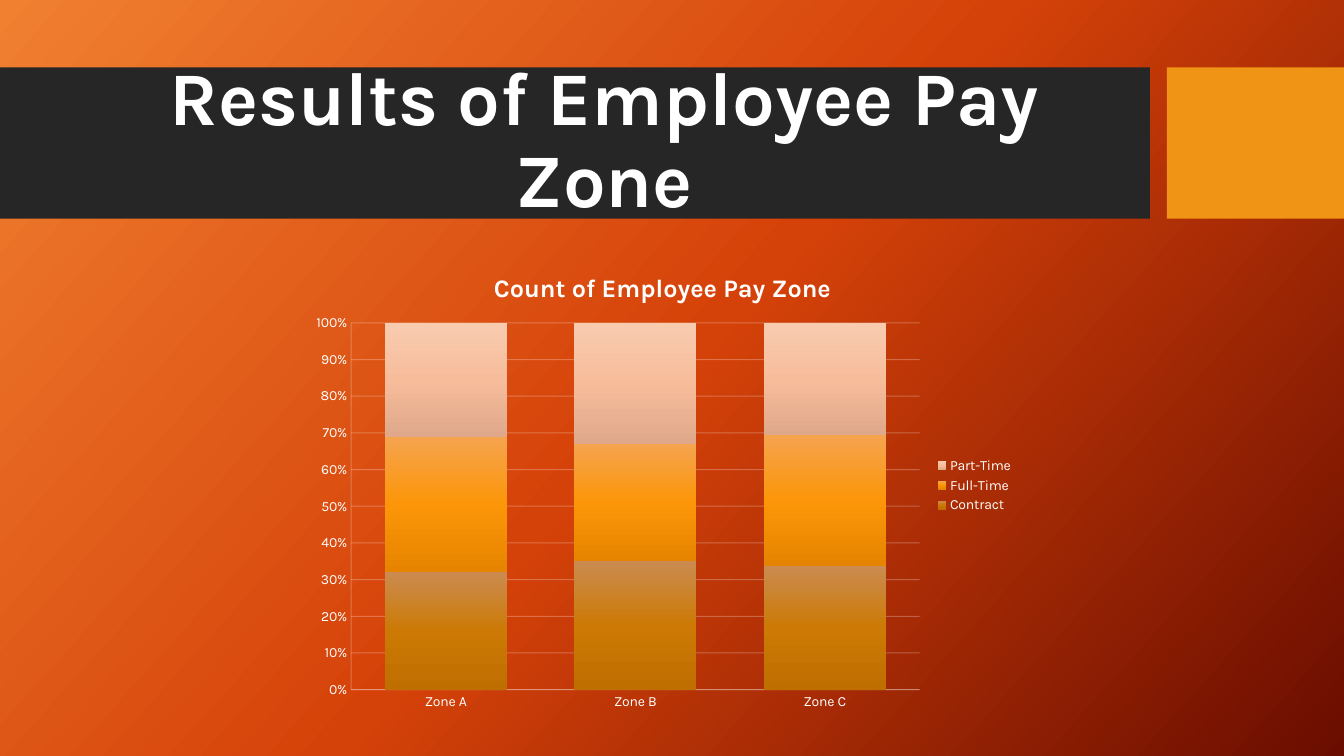
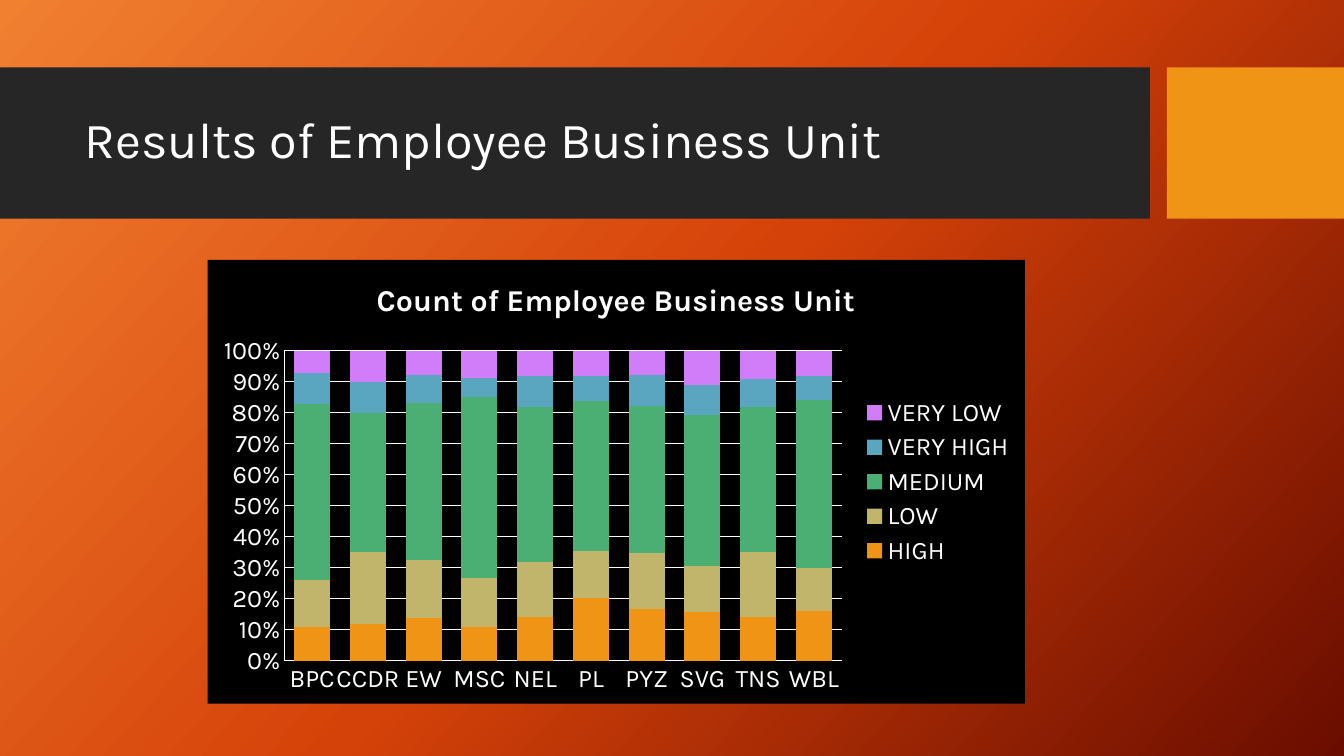
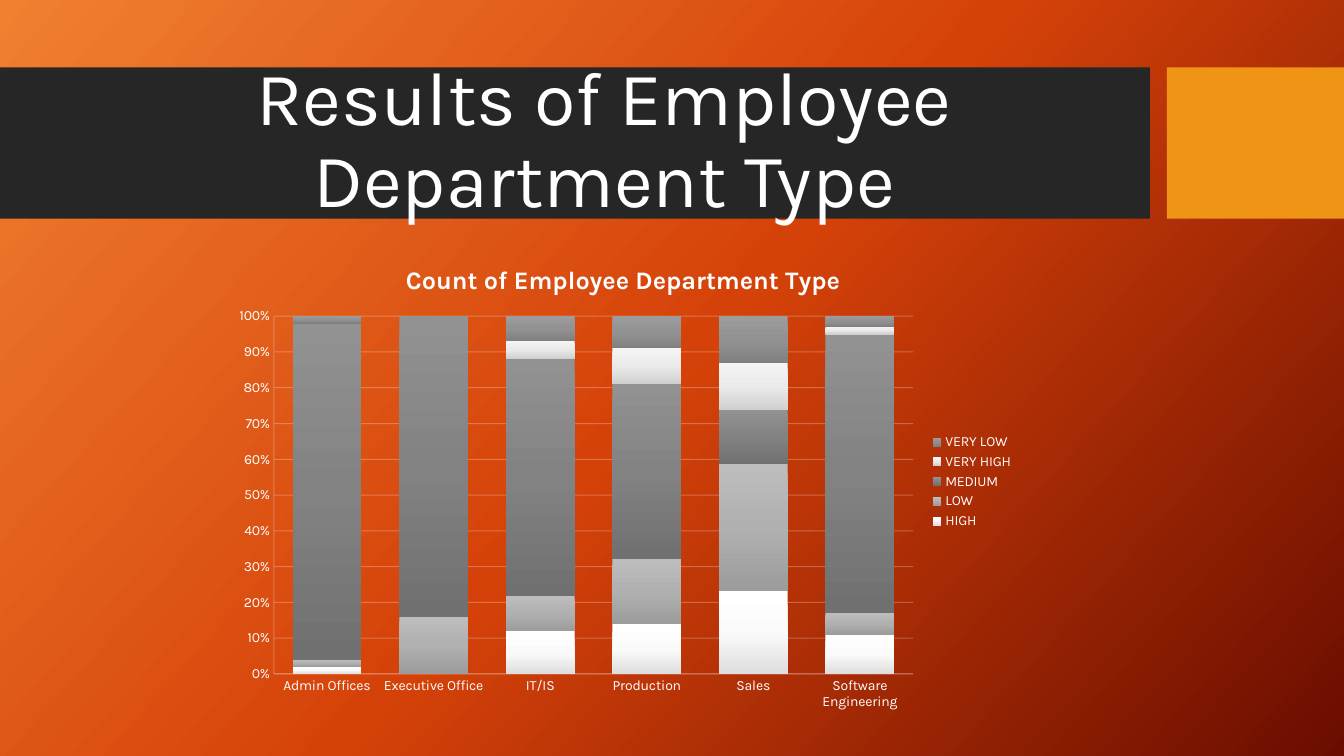
import copy

import pptx
import pptx.chart.data
import pptx.dml.color
import pptx.enum.chart
import pptx.enum.shapes
import pptx.enum.text
import pptx.oxml
import pptx.oxml.ns
import pptx.util

Cm, Pt = pptx.util.Cm, pptx.util.Pt
RGB = pptx.dml.color.RGBColor.from_string
FONT = "Karla"
COLORS = {
    "white": "FFFFFF", "band": "262626", "amber": "F09415", "black": "000000",
    "sand": "C1B56B", "green": "4BAF73", "blue": "5AA6C0", "violet": "D17DF9",
}
BACKGROUND = ["F18031", "D54209", "6A0D00"]
LEVELS = ["HIGH", "LOW", "MEDIUM", "VERY HIGH", "VERY LOW"]
CENTER, LEFT = pptx.enum.text.PP_ALIGN.CENTER, pptx.enum.text.PP_ALIGN.LEFT

# Plot boxes are left, top, width, height in percent of the chart
SLIDES = [
    {
        "title": "Results of Employee Pay Zone",
        "title_font": {"size": Pt(54), "bold": True}, "align": CENTER,
        "chart_title": "Count of Employee Pay Zone", "chart_title_size": 18,
        "box": (7.59, 6.35, 18.21, 11.76), "plot": (6.9, 15.2, 78.7, 78.6),
        "size": 10, "grid_alpha": 25, "panel": None,
        "cats": ["Zone A", "Zone B", "Zone C"],
        "series": {"Contract": [32, 35, 34], "Full-Time": [37, 32, 36],
                   "Part-Time": [31, 33, 31]},
        "fills": [["CB8B50", "CC7A05", "BF6E00"], ["F5A34F", "FC9608", "E68400"],
                  ["F8CBAF", "F7BD9B", "DFA88A"]],
    },
    {
        "title": "Results of Employee Business Unit",
        "title_font": {"size": Pt(36), "bold": False}, "align": LEFT,
        "chart_title": "Count of Employee Business Unit", "chart_title_size": 21.6,
        "box": (5.23, 6.55, 20.6, 11.18), "plot": (9.4, 20.5, 68.2, 69.9),
        "size": 18, "grid_alpha": 100, "panel": "black",
        "cats": ["BPC", "CCDR", "EW", "MSC", "NEL", "PL", "PYZ", "SVG", "TNS", "WBL"],
        "series": dict(zip(LEVELS, [
            [11, 12, 14, 11, 14, 20, 17, 16, 14, 16],
            [15, 23, 19, 16, 18, 15, 18, 15, 21, 14],
            [57, 45, 51, 59, 50, 48, 48, 49, 47, 54],
            [10, 10, 9, 6, 10, 8, 10, 10, 9, 8],
            [7, 10, 8, 9, 8, 8, 8, 11, 9, 8]])),
        "fills": [[COLORS[c]] for c in ("amber", "sand", "green", "blue", "violet")],
    },
    {
        "title": "Results of Employee Department Type",
        "title_font": {"size": Pt(54), "bold": False}, "align": CENTER,
        "chart_title": "Count of Employee Department Type", "chart_title_size": 18,
        "box": (5.61, 6.15, 20.19, 11.96), "plot": (6.4, 15.2, 79.8, 75.4),
        "size": 10, "grid_alpha": 25, "panel": None,
        "cats": ["Admin Offices", "Executive Office", "IT/IS", "Production", "Sales",
                 "Software Engineering"],
        "series": dict(zip(LEVELS, [
            [2, None, 12, 14, 23, 11],
            [2, 16, 10, 18, 35, 6],
            [94, 84, 67, 49, 15, 78],
            [None, None, 5, 10, 13, 2],
            [2, None, 7, 9, 13, 3]])),
        "fills": [["FFFFFF", "FAFAFA", "DEDEDE"], ["BDBDBD", "B0B0B0", "9C9C9C"],
                  ["929292", "828282", "707070"], ["F4F4F4", "EAEAEA", "D0D0D0"],
                  ["9C9C9C", "929292", "808080"]],
    },
]


def paint(fill, colors, angle=270):
    """Solid fill for one colour, gradient with even stops for three."""
    if len(colors) == 1:
        fill.solid()
        fill.fore_color.rgb = RGB(colors[0])
        return
    fill.gradient()
    fill.gradient_angle = angle
    last = fill.gradient_stops[1].element
    last.addnext(copy.deepcopy(last))
    for i, (stop, color) in enumerate(zip(fill.gradient_stops, colors)):
        stop.color.rgb = RGB(color)
        stop.position = i / (len(colors) - 1)


def xml(tag, body):
    """Chart element with the given content."""
    ns = pptx.oxml.ns.nsdecls("c", "a")
    return pptx.oxml.parse_xml(f"<c:{tag} {ns}>{body}</c:{tag}>")


prs = pptx.Presentation()
prs.slide_width, prs.slide_height = Cm(33.87), Cm(19.05)
layout = prs.slide_layouts[5]
paint(prs.slide_master.background.fill, BACKGROUND, angle=318)

for n, d in enumerate(SLIDES):
    s = prs.slides.add_slide(layout)

    # Title bands, moved to the layout that all slides share
    if n == 0:
        for i, (left, width, color) in enumerate([(0, 28.98, "band"), (29.41, 4.46, "amber")]):
            band = s.shapes.add_shape(pptx.enum.shapes.MSO_SHAPE.RECTANGLE,
                                      Cm(left), Cm(1.7), Cm(width), Cm(3.81))
            band.shadow.inherit = False
            paint(band.fill, [COLORS[color]])
            band.line.fill.background()
            layout.shapes.element.insert(2 + i, band.element)

    # Title
    title = s.shapes.title
    title.left, title.top, title.width, title.height = Cm(1.88), Cm(2.08), Cm(26.7), Cm(3)
    tf = title.text_frame
    tf.text = d["title"]
    tf.word_wrap = True
    tf.auto_size = pptx.enum.text.MSO_AUTO_SIZE.NONE
    tf.vertical_anchor = pptx.enum.text.MSO_ANCHOR.MIDDLE
    p = tf.paragraphs[0]
    p.alignment, p.line_spacing = d["align"], 0.9
    r = p.runs[0]
    r.font.color.rgb = RGB(COLORS["white"])
    for name, value in {"name": FONT, **d["title_font"]}.items():
        setattr(r.font, name, value)

    # Chart
    data = pptx.chart.data.CategoryChartData()
    data.categories = d["cats"]
    for name, values in d["series"].items():
        data.add_series(name, values)
    chart = s.shapes.add_chart(pptx.enum.chart.XL_CHART_TYPE.COLUMN_STACKED_100,
                               *map(Cm, d["box"]), data).chart
    chart.font.name, chart.font.size = FONT, Pt(d["size"])
    chart.font.color.rgb = RGB(COLORS["white"])

    # Chart title and legend
    chart.has_title = True
    chart.chart_title.include_in_layout = False
    tf = chart.chart_title.text_frame
    tf.text = d["chart_title"]
    r = tf.paragraphs[0].runs[0]
    r.font.color.rgb = RGB(COLORS["white"])
    for name, value in {"name": FONT, "size": Pt(d["chart_title_size"]), "bold": True}.items():
        setattr(r.font, name, value)
    chart.has_legend = True
    chart.legend.position = pptx.enum.chart.XL_LEGEND_POSITION.RIGHT
    chart.legend.include_in_layout = False

    # Axes and gridlines
    for axis in (chart.category_axis, chart.value_axis):
        axis.major_tick_mark = axis.minor_tick_mark = pptx.enum.chart.XL_TICK_MARK.NONE
    axis.has_major_gridlines = True
    axis.maximum_scale, axis.major_unit = 1, 0.1
    axis.tick_labels.number_format = "0%"
    axis.tick_labels.number_format_is_linked = False
    for part in (chart.category_axis, axis, axis.major_gridlines):
        part.format.line.color.rgb = RGB(COLORS["white"])
        part.format.line.width = Pt(0.75)
    for color in chart.element.xpath(".//a:ln//a:srgbClr"):
        alpha = color.makeelement(pptx.oxml.ns.qn("a:alpha"), {"val": str(d["grid_alpha"] * 1000)})
        color.append(alpha)

    # Columns
    plot = chart.plots[0]
    plot.gap_width, plot.overlap, plot.vary_by_categories = 55, 100, False
    for series, colors in zip(plot.series, d["fills"]):
        paint(series.format.fill, colors)
        series.format.line.fill.background()

    # Plot position and panel
    area = chart.element.xpath("c:chart/c:plotArea")[0]
    for old in area.xpath("c:layout"):
        area.remove(old)
    modes = '<c:layoutTarget val="inner"/><c:xMode val="edge"/><c:yMode val="edge"/>'
    places = "".join(f'<c:{k} val="{v / 100:.3f}"/>' for k, v in zip("xywh", d["plot"]))
    area.insert(0, xml("layout", f"<c:manualLayout>{modes}{places}</c:manualLayout>"))
    area.append(xml("spPr", "<a:noFill/>"))
    panel = "<a:noFill/>"
    if d["panel"]:
        panel = f'<a:solidFill><a:srgbClr val="{COLORS[d["panel"]]}"/></a:solidFill>'
    area.getparent().addnext(xml("spPr", panel + "<a:ln><a:noFill/></a:ln>"))

prs.save("out.pptx")
